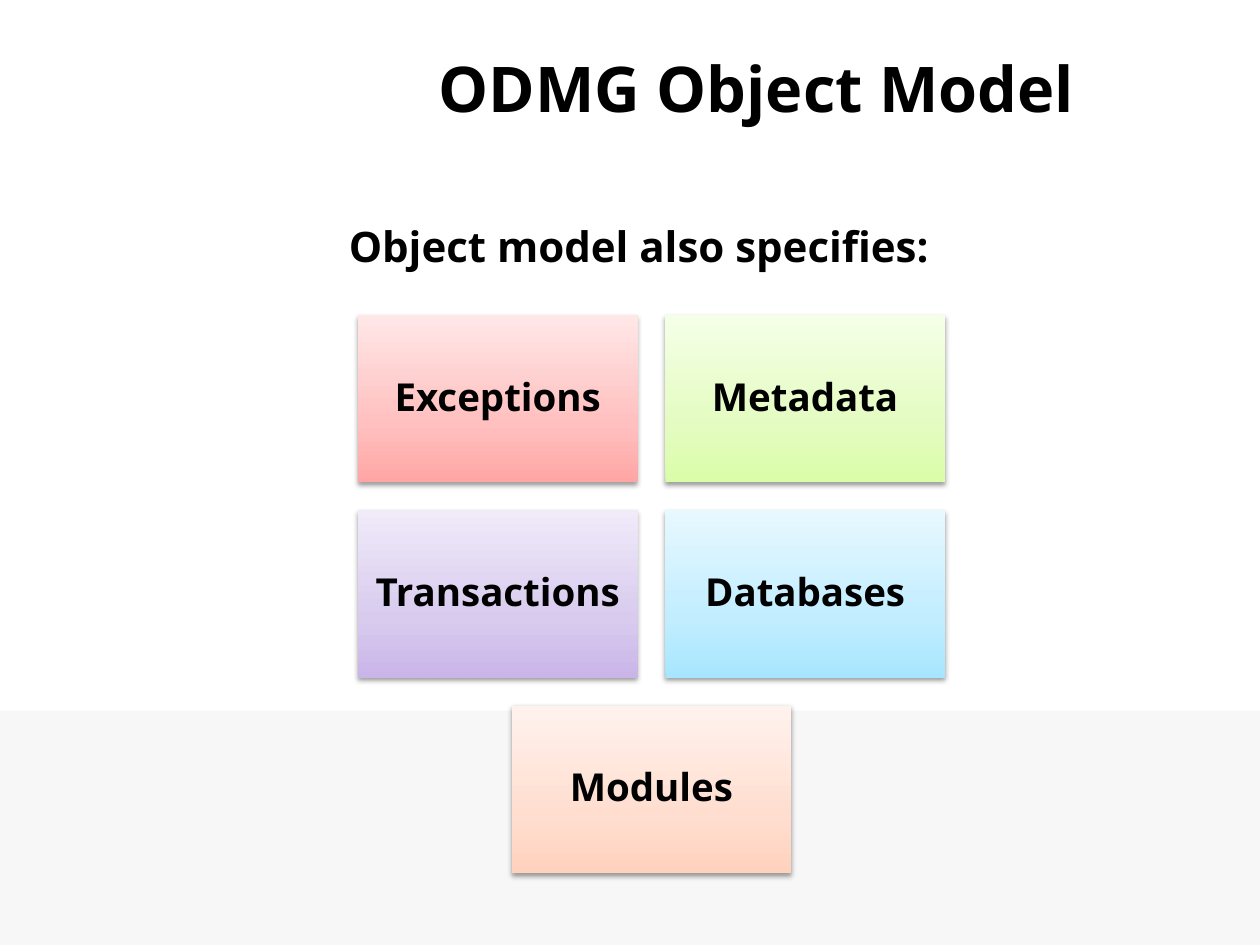
from lxml import etree
from pptx import Presentation
from pptx.dml.color import RGBColor
from pptx.enum.shapes import MSO_SHAPE as SHAPE
from pptx.enum.text import MSO_ANCHOR as ANCHOR, PP_ALIGN as ALIGN
from pptx.oxml import parse_xml
from pptx.oxml.ns import nsdecls, qn
from pptx.util import Inches, Pt

FONT = "Open Sans"
BLACK = RGBColor(0x00, 0x00, 0x00)
PALE = RGBColor(0xF7, 0xF7, 0xF7)

TITLE = "ODMG Object Model"
LEAD = "Object model also specifies:"
# Each row of cards: label, then gradient colours from bottom to top
ROWS = [
    [("Exceptions", ("FFA6A5", "FFC0BF", "FFE7E7")),
     ("Metadata", ("DAFDA7", "E4FCC2", "F5FFE7"))],
    [("Transactions", ("C9B5E8", "D8CBEE", "F0EAF9")),
     ("Databases", ("A7E6FF", "C1EDFF", "E7F8FF"))],
    [("Modules", ("FFD2BD", "FFDED0", "FFF2ED"))],
]
STOPS = (0, 35, 100)
CARD_W, CARD_H, GAP = 2.22, 1.33, 0.22
MID_X, TOP = 5.17, 2.5


def add_text(shape, text, size, align, anchor, spacing=None):
    frame = shape.text_frame
    frame.word_wrap = True
    frame.vertical_anchor = anchor
    para = frame.paragraphs[0]
    para.alignment = align
    if spacing:
        para.line_spacing = spacing
    run = para.add_run()
    run.text = text
    font = run.font
    font.name, font.size, font.bold = FONT, Pt(size), True
    font.color.rgb = BLACK
    return frame


def add_rect(slide, left, top, width, height):
    rect = slide.shapes.add_shape(SHAPE.RECTANGLE, Inches(left), Inches(top),
                                  Inches(width), Inches(height))
    rect.line.fill.background()
    rect.shadow.inherit = False
    return rect


def add_box(slide, left, top, width, height):
    return slide.shapes.add_textbox(Inches(left), Inches(top),
                                    Inches(width), Inches(height))


def shade(shape, colors):
    """Fill with a three-stop upward gradient and add a soft shadow below."""
    stops = "".join(
        f'<a:gs pos="{pos * 1000}"><a:srgbClr val="{color}"/></a:gs>'
        for pos, color in zip(STOPS, colors))
    props = shape.element.spPr
    props.find(qn("a:prstGeom")).addnext(parse_xml(
        f'<a:gradFill {nsdecls("a")} rotWithShape="1"><a:gsLst>{stops}</a:gsLst>'
        '<a:lin ang="16200000" scaled="1"/></a:gradFill>'))
    shadow = etree.SubElement(
        props.find(qn("a:effectLst")), qn("a:outerShdw"),
        blurRad=str(Pt(3.1)), dist=str(Pt(1.6)), dir="5400000", rotWithShape="0")
    color = etree.SubElement(shadow, qn("a:srgbClr"), val="000000")
    etree.SubElement(color, qn("a:alpha"), val="38000")


def add_card(slide, left, top, label, colors):
    card = add_rect(slide, left, top, CARD_W, CARD_H)
    shade(card, colors)
    frame = add_text(card, label, 22, ALIGN.CENTER, ANCHOR.MIDDLE, 0.9)
    frame.margin_left = frame.margin_right = Inches(0.09)
    frame.margin_top = frame.margin_bottom = Inches(0.09)


def main():
    deck = Presentation()
    deck.slide_width, deck.slide_height = Inches(10), Inches(7.5)
    slide = deck.slides.add_slide(deck.slide_layouts[6])

    band = add_rect(slide, 0, 5.64, 10, 1.86)
    band.fill.solid()
    band.fill.fore_color.rgb = PALE

    add_text(add_box(slide, 1.42, 0.39, 9.17, 0.61), TITLE, 36,
             ALIGN.CENTER, ANCHOR.MIDDLE)
    add_text(add_box(slide, 2.67, 1.75, 6.33, 0.67), LEAD, 24,
             ALIGN.LEFT, ANCHOR.TOP, 0.9)

    for row, cards in enumerate(ROWS):
        width = len(cards) * (CARD_W + GAP) - GAP
        top = TOP + row * (CARD_H + GAP)
        for col, (label, colors) in enumerate(cards):
            left = MID_X - width / 2 + col * (CARD_W + GAP)
            add_card(slide, left, top, label, colors)

    deck.save("out.pptx")


if __name__ == "__main__":
    main()
